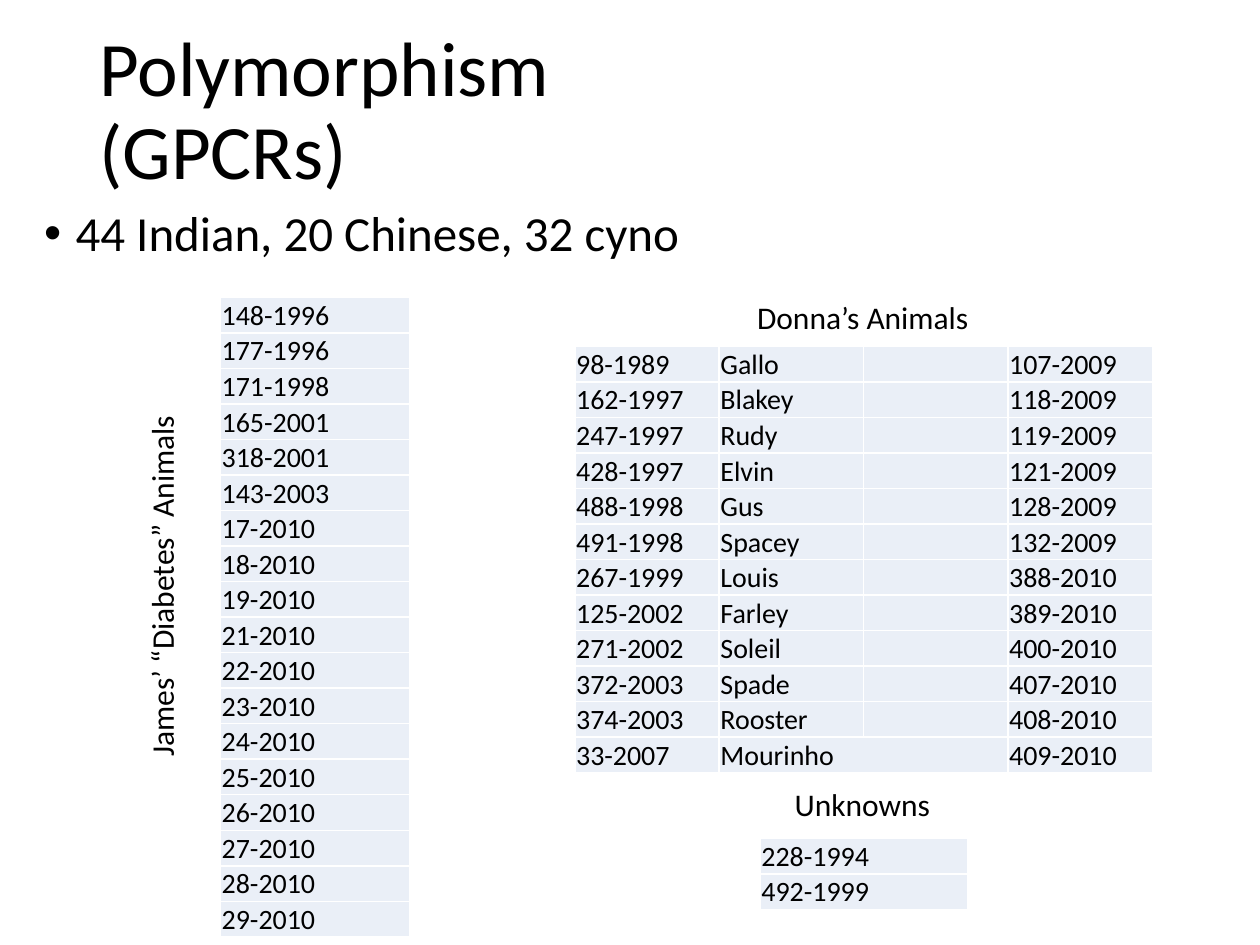
from lxml import etree
from pptx import Presentation
from pptx.dml.color import RGBColor
from pptx.enum.text import MSO_ANCHOR, MSO_AUTO_SIZE, PP_ALIGN
from pptx.oxml.ns import qn
from pptx.util import Pt

BLACK = RGBColor(0x00, 0x00, 0x00)
WHITE = RGBColor(0xFF, 0xFF, 0xFF)
PALE_BLUE = RGBColor(0xEA, 0xEF, 0xF7)
LEFT = PP_ALIGN.LEFT
MIDDLE = MSO_ANCHOR.MIDDLE
TOP = MSO_ANCHOR.TOP
BOTTOM = MSO_ANCHOR.BOTTOM
NO_FIT = MSO_AUTO_SIZE.NONE
GROW = MSO_AUTO_SIZE.SHAPE_TO_FIT_TEXT

DIABETES_ANIMALS = [
    "148-1996", "177-1996", "171-1998", "165-2001", "318-2001", "143-2003",
    "17-2010", "18-2010", "19-2010", "21-2010", "22-2010", "23-2010",
    "24-2010", "25-2010", "26-2010", "27-2010", "28-2010", "29-2010",
]
DONNA_ANIMALS = [
    ("98-1989", "Gallo", "", "107-2009"),
    ("162-1997", "Blakey", "", "118-2009"),
    ("247-1997", "Rudy", "", "119-2009"),
    ("428-1997", "Elvin", "", "121-2009"),
    ("488-1998", "Gus", "", "128-2009"),
    ("491-1998", "Spacey", "", "132-2009"),
    ("267-1999", "Louis", "", "388-2010"),
    ("125-2002", "Farley", "", "389-2010"),
    ("271-2002", "Soleil", "", "400-2010"),
    ("372-2003", "Spade", "", "407-2010"),
    ("374-2003", "Rooster", "", "408-2010"),
    ("33-2007", "Mourinho", "", "409-2010"),
]
UNKNOWNS = ["228-1994", "492-1999"]


class SlideBuilder:
    font = "Calibri"
    title_size, body_size, label_size, cell_size = 44, 28, 18, 16
    row_height = 20

    def __init__(self, slide):
        self.slide = slide

    def place(self, sp, x, y, w, h):
        sp.left, sp.top, sp.width, sp.height = Pt(x), Pt(y), Pt(w), Pt(h)

    def run(self, p, text, size):
        r = p.add_run()
        r.text = text
        r.font.name = self.font
        r.font.size = Pt(size)
        r.font.color.rgb = BLACK

    def placeholder(self, idx, anchor, *box):
        sp = self.slide.placeholders[idx]
        self.place(sp, *box)
        tf = sp.text_frame
        tf.auto_size = NO_FIT
        tf.vertical_anchor = anchor
        p = tf.paragraphs[0]
        p.alignment = LEFT
        p.line_spacing = 0.9
        return p

    def title(self, lines, *box):
        p = self.placeholder(0, MIDDLE, *box)
        for i, line in enumerate(lines):
            if i:
                p.add_line_break()
            self.run(p, line, self.title_size)

    def bullet(self, text, *box):
        p = self.placeholder(1, TOP, *box)
        p.space_before = Pt(10)
        pPr = p._p.get_or_add_pPr()
        pPr.set("marL", str(Pt(18)))
        pPr.set("indent", str(-Pt(18)))
        etree.SubElement(pPr, qn("a:buChar")).set("char", "•")
        self.run(p, text, self.body_size)

    def label(self, text, x, y, w, h, rotation=0, wrap=False):
        sp = self.slide.shapes.add_textbox(Pt(x), Pt(y), Pt(w), Pt(h))
        sp.rotation = rotation
        tf = sp.text_frame
        tf.word_wrap = wrap
        tf.auto_size = GROW
        self.run(tf.paragraphs[0], text, self.label_size)

    def cell(self, cell, text):
        cell.margin_left = cell.margin_right = cell.margin_top = Pt(0.72)
        cell.margin_bottom = 0
        cell.vertical_anchor = BOTTOM
        p = cell.text_frame.paragraphs[0]
        if text:
            self.run(p, text, self.cell_size)
        else:
            p._p.get_or_add_endParaRPr().set("sz", str(self.cell_size * 100))
        tcPr = cell._tc.get_or_add_tcPr()
        for side in ("lnL", "lnR", "lnT", "lnB"):
            ln = etree.SubElement(tcPr, qn(f"a:{side}"), w=str(Pt(1)))
            fill = etree.SubElement(ln, qn("a:solidFill"))
            etree.SubElement(fill, qn("a:srgbClr"), val=str(WHITE))
        cell.fill.solid()
        cell.fill.fore_color.rgb = PALE_BLUE

    def table(self, rows, x, y, w):
        frame = self.slide.shapes.add_table(
            len(rows), len(rows[0]), Pt(x), Pt(y), Pt(w),
            Pt(self.row_height * len(rows)))
        table = frame.table
        table.first_row = table.horz_banding = False
        for i, row in enumerate(rows):
            for j, text in enumerate(row):
                self.cell(table.cell(i, j), text)
        return table


def main():
    prs = Presentation()
    prs.slide_width, prs.slide_height = Pt(720), Pt(540)
    s = SlideBuilder(prs.slides.add_slide(prs.slide_layouts[1]))

    s.title(["Polymorphism", "(GPCRs)"], 49.5, 12.5, 621, 104.4)
    s.bullet("44 Indian, 20 Chinese, 32 cyno", 18, 116, 621, 414)

    s.table([[name] for name in DIABETES_ANIMALS], 126, 170, 108)
    donna = s.table(DONNA_ANIMALS, 328.5, 198, 330)
    last = len(DONNA_ANIMALS) - 1
    donna.cell(last, 1).merge(donna.cell(last, 2))
    s.table([[name] for name in UNKNOWNS], 434.4, 479, 118.5)

    s.label("James’ “Diabetes” Animals", -15, 317.5, 214.5, 29,
            rotation=270, wrap=True)
    s.label("Donna’s Animals", 425.5, 166.5, 137, 29)
    s.label("Unknowns", 447, 445, 93, 29)

    prs.save("out.pptx")


if __name__ == "__main__":
    main()
